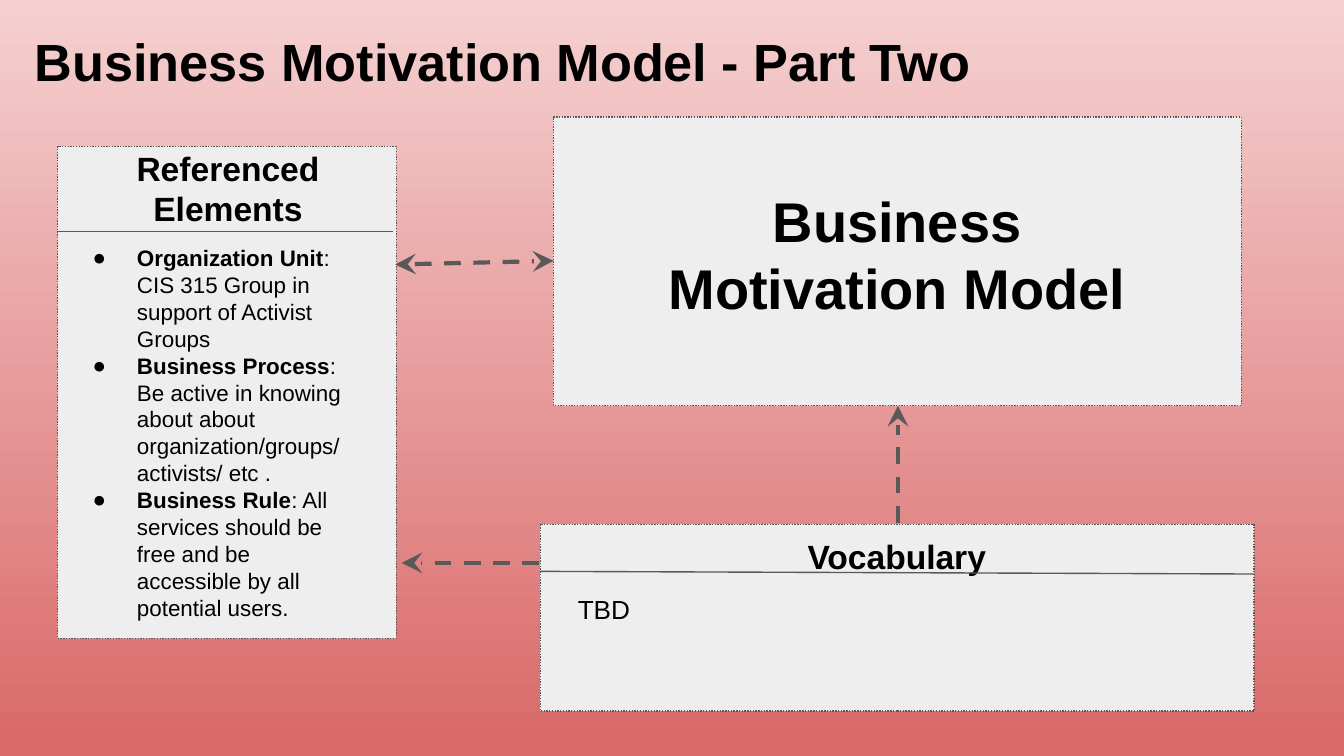
from dataclasses import dataclass

from lxml import etree
from pptx import Presentation
from pptx.dml.color import RGBColor
from pptx.enum.dml import MSO_LINE
from pptx.enum.shapes import MSO_CONNECTOR, MSO_SHAPE
from pptx.enum.text import MSO_ANCHOR, PP_ALIGN
from pptx.oxml.ns import qn
from pptx.util import Cm, Pt

FONT = "Arial"
INK, PANEL, LINE = "000000", "EEEEEE", "595959"
SKY, GROUND = "F5D0D0", "D96868"


@dataclass
class Box:
    left: float
    top: float
    width: float
    height: float

    def lengths(self) -> list:
        return [Cm(v) for v in (self.left, self.top, self.width, self.height)]


@dataclass
class Label:
    box: Box
    text: str
    size: int
    bold: bool = True
    align: PP_ALIGN = PP_ALIGN.CENTER


@dataclass
class Link:
    start: tuple
    end: tuple
    ends: tuple = ()  # which line ends carry an arrowhead
    dashed: bool = False


def color(value: str) -> RGBColor:
    return RGBColor.from_string(value)


def add_panel(slide, box: Box) -> None:
    panel = slide.shapes.add_shape(MSO_SHAPE.RECTANGLE, *box.lengths())
    panel.shadow.inherit = False
    panel.fill.solid()
    panel.fill.fore_color.rgb = color(PANEL)
    panel.line.color.rgb = color(LINE)
    panel.line.width = Pt(0.75)
    panel.line.dash_style = MSO_LINE.ROUND_DOT


def add_frame(slide, box: Box):
    frame = slide.shapes.add_textbox(*box.lengths()).text_frame
    frame.word_wrap = True
    frame.vertical_anchor = MSO_ANCHOR.TOP
    frame.margin_left = frame.margin_right = Cm(0.25)
    frame.margin_top = frame.margin_bottom = Cm(0.25)
    return frame


def add_run(paragraph, text: str, size: int, bold: bool) -> None:
    paragraph.line_spacing = 1.0
    run = paragraph.add_run()
    run.text = text
    run.font.name = FONT
    run.font.size = Pt(size)
    run.font.bold = bold
    run.font.color.rgb = color(INK)


def add_label(slide, label: Label) -> None:
    paragraph = add_frame(slide, label.box).paragraphs[0]
    paragraph.alignment = label.align
    add_run(paragraph, label.text, label.size, label.bold)


def add_bullets(slide, box: Box, items: list) -> None:
    frame = add_frame(slide, box)
    for i, (term, meaning) in enumerate(items):
        paragraph = frame.add_paragraph() if i else frame.paragraphs[0]
        add_run(paragraph, term, 12, True)
        add_run(paragraph, ": " + meaning, 12, False)
        props = paragraph._p.get_or_add_pPr()
        props.set("marL", str(Cm(1.27)))
        props.set("indent", str(-Cm(0.84)))
        etree.SubElement(props, qn("a:buFont")).set("typeface", FONT)
        etree.SubElement(props, qn("a:buChar")).set("char", "●")


def add_link(slide, link: Link) -> None:
    points = [Cm(v) for v in link.start + link.end]
    line = slide.shapes.add_connector(MSO_CONNECTOR.STRAIGHT, *points)
    line.line.color.rgb = color(LINE)
    line.line.width = Pt(2.25 if link.dashed else 0.75)
    if link.dashed:
        line.line.dash_style = MSO_LINE.DASH
    for end in link.ends:
        head = etree.SubElement(line.line._get_or_add_ln(), qn("a:" + end))
        head.set("type", "stealth")
        head.set("w", "lg")
        head.set("len", "lg")
    etree.SubElement(line._element.spPr, qn("a:effectLst"))


# Slide and background
prs = Presentation()
prs.slide_width, prs.slide_height = Cm(25.4), Cm(14.29)
slide = prs.slides.add_slide(prs.slide_layouts[6])
background = slide.background.fill
background.gradient()
background.gradient_angle = 270
for stop, shade, place in zip(background.gradient_stops, (SKY, GROUND), (0, 1)):
    stop.color.rgb = color(shade)
    stop.position = place

# Panels
referenced = Box(1.09, 2.77, 6.4, 9.3)
vocabulary = Box(10.21, 9.91, 13.49, 3.53)
model = Box(10.46, 2.21, 13, 5.46)
for panel_box in (referenced, vocabulary, model):
    add_panel(slide, panel_box)

# Title, headings and plain text
for text_label in (
    Label(Box(0.41, 0.3, 23.67, 1.6), "Business Motivation Model - Part Two", 28,
          align=PP_ALIGN.LEFT),
    Label(Box(1.07, 2.54, 6.48, 1.19), "Referenced Elements", 18),
    Label(Box(12.14, 3.28, 9.63, 3.3), "Business Motivation Model", 30),
    Label(Box(14.83, 9.88, 4.24, 0.94), "Vocabulary", 18),
    Label(Box(10.67, 10.97, 12.8, 2.21), "TBD", 14, False, PP_ALIGN.LEFT),
):
    add_label(slide, text_label)

# Dividers, then arrows between the panels
for link in (
    Link((1.07, 4.37), (7.42, 4.37)),
    Link((10.21, 10.8), (23.7, 10.85)),
    Link((16.97, 9.88), (16.97, 7.67), ("tailEnd",), True),
    Link((7.47, 5.0), (10.46, 4.93), ("headEnd", "tailEnd"), True),
    Link((10.19, 10.64), (7.59, 10.64), ("tailEnd",), True),
):
    add_link(slide, link)

# Referenced elements
add_bullets(slide, Box(1.07, 4.37, 5.77, 6.55), [
    ("Organization Unit", "CIS 315 Group in support of Activist Groups"),
    ("Business Process", "Be active in knowing about about "
                         "organization/groups/activists/ etc ."),
    ("Business Rule", "All services should be free and be accessible by all "
                      "potential users."),
])

prs.save("out.pptx")
